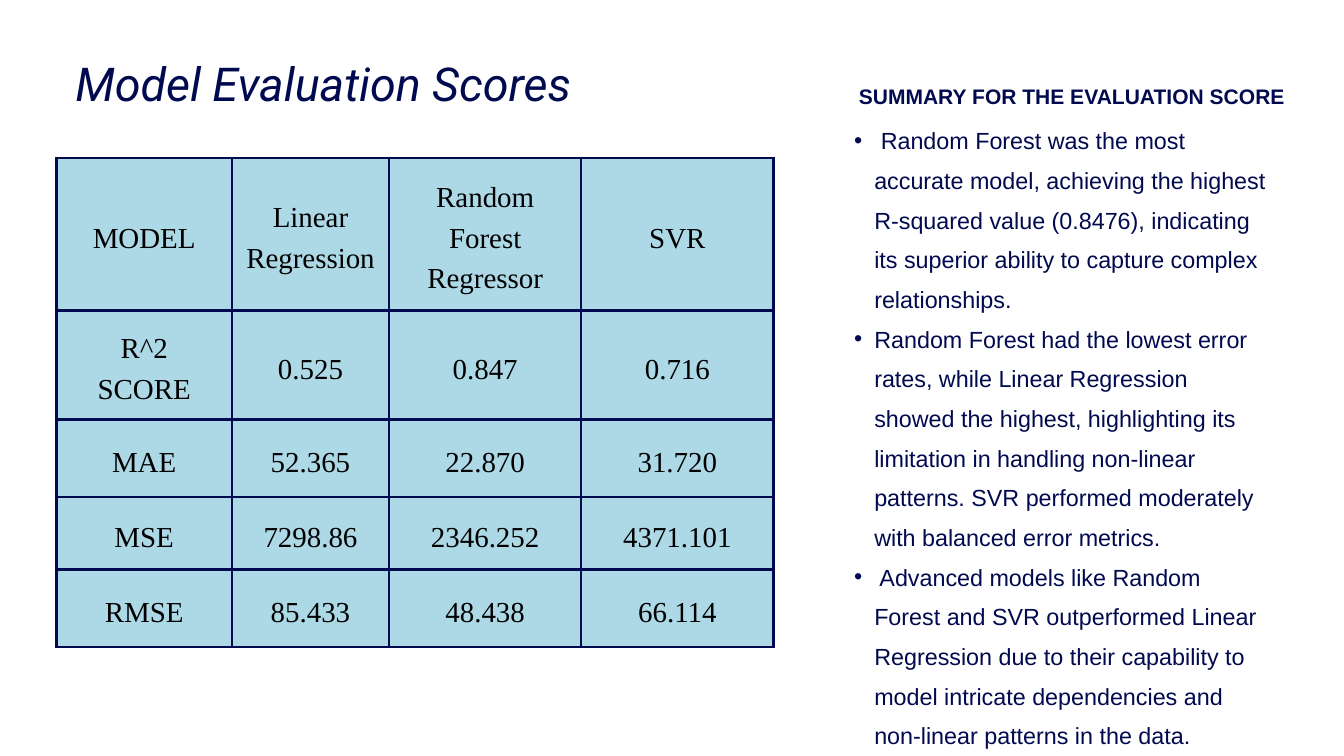
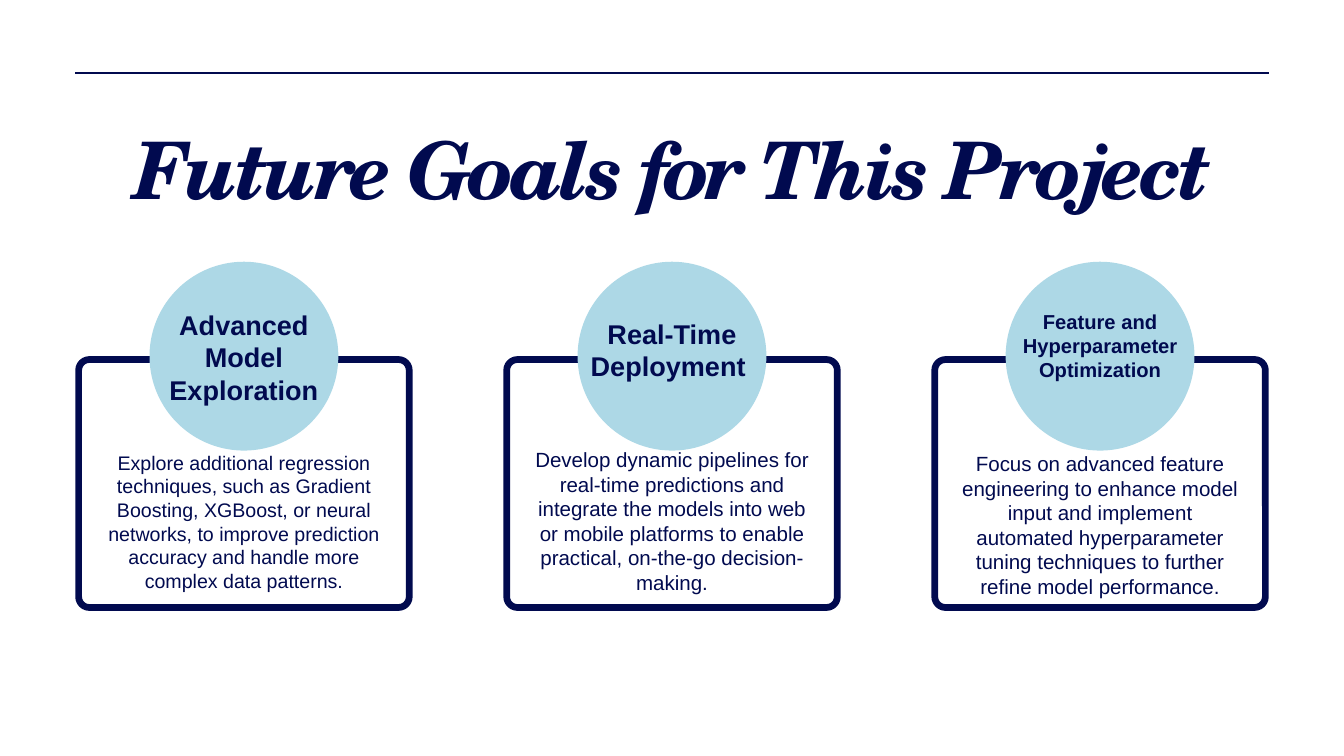
from dataclasses import dataclass

from lxml import etree
from pptx import Presentation
from pptx.dml.color import RGBColor
from pptx.enum.shapes import MSO_CONNECTOR, MSO_SHAPE
from pptx.enum.text import MSO_ANCHOR, MSO_AUTO_SIZE, PP_ALIGN
from pptx.oxml.ns import qn
from pptx.util import Inches, Pt

LEFT, CENTER = PP_ALIGN.LEFT, PP_ALIGN.CENTER
TOP, MIDDLE = MSO_ANCHOR.TOP, MSO_ANCHOR.MIDDLE
NO_AUTOFIT = MSO_AUTO_SIZE.NONE
STRAIGHT = MSO_CONNECTOR.STRAIGHT
ROUNDED, OVAL = MSO_SHAPE.ROUNDED_RECTANGLE, MSO_SHAPE.OVAL
TITLE_AND_CONTENT, TITLE_ONLY = 1, 5


@dataclass(frozen=True)
class TextStyle:
    font: str
    size: float
    line: float
    color: RGBColor
    align: PP_ALIGN = LEFT
    bold: bool = False
    italic: bool = False
    tracking: float = 0


@dataclass(frozen=True)
class Theme:
    navy: RGBColor = RGBColor(0x01, 0x0A, 0x4F)
    sky: RGBColor = RGBColor(0xAD, 0xD8, 0xE6)
    white: RGBColor = RGBColor(0xFF, 0xFF, 0xFF)
    black: RGBColor = RGBColor(0, 0, 0)
    border: float = 3
    frame: float = 7.2
    rule: float = 2.25

    scores_title = TextStyle("Roboto", 50, 70, navy, italic=True)
    goals_title = TextStyle("TeX Gyre Schola", 85, 102, navy, CENTER, True, True, -4.2)
    summary_heading = TextStyle("Arial", 22.5, 31.5, navy, bold=True)
    summary = TextStyle("Arial", 25, 42.5, navy)
    score = TextStyle("Times New Roman", 31, 43.4, black, CENTER)
    goal_large = TextStyle("Arial", 29, 34.8, navy, CENTER, True)
    goal_small = TextStyle("Arial", 21.6, 25.9, navy, CENTER, True)
    detail_large = TextStyle("Arial", 22, 26.4, navy, CENTER)
    detail_small = TextStyle("Arial", 21, 25.2, navy, CENTER)


THEME = Theme()


@dataclass(frozen=True)
class Box:
    left: float
    top: float
    width: float
    height: float

    def emu(self) -> tuple:
        return tuple(Inches(v) for v in (self.left, self.top, self.width, self.height))


@dataclass(frozen=True)
class Goal:
    name: str
    name_style: TextStyle
    name_top: float
    name_height: float
    detail: str
    detail_style: TextStyle
    detail_top: float
    detail_height: float


# Content
SCORES = [
    ("MODEL", "Linear Regression", "Random Forest Regressor", "SVR"),
    ("R^2 SCORE", "0.525", "0.847", "0.716"),
    ("MAE", "52.365", "22.870", "31.720"),
    ("MSE", "7298.86", "2346.252", "4371.101"),
    ("RMSE", "85.433", "48.438", "66.114"),
]
SCORE_COLUMNS = (2.61, 2.34, 2.86, 2.86)
SCORE_ROWS = (2.27, 1.2, 1.15, 1.08, 1.15)

SUMMARY = [
    " Random Forest was the most accurate model, achieving the highest R-squared value "
    "(0.8476), indicating its superior ability to capture complex relationships.",
    "Random Forest had the lowest error rates, while Linear Regression showed the highest, "
    "highlighting its limitation in handling non-linear patterns. SVR performed moderately "
    "with balanced error metrics.",
    " Advanced models like Random Forest and SVR outperformed Linear Regression due to their "
    "capability to model intricate dependencies and non-linear patterns in the data.",
]

GOALS = [
    Goal("Advanced Model Exploration", THEME.goal_large, 4.59, 1.44,
         "Explore additional regression techniques, such as Gradient Boosting, XGBoost, or "
         "neural networks, to improve prediction accuracy and handle more complex data "
         "patterns.", THEME.detail_small, 6.71, 2.07),
    Goal("Real-Time Deployment ", THEME.goal_large, 4.72, 0.96,
         "Develop dynamic pipelines for real-time predictions and integrate the models into "
         "web or mobile platforms to enable practical, on-the-go decision-making.",
         THEME.detail_large, 6.65, 2.2),
    Goal("Feature and Hyperparameter Optimization", THEME.goal_small, 4.6, 1.07,
         "Focus on advanced feature engineering to enhance model input and implement "
         "automated hyperparameter tuning techniques to further refine model performance.",
         THEME.detail_large, 6.71, 2.2),
]

# Layout of the goal cards
MARGIN, SLIDE_WIDTH, SLIDE_HEIGHT = 1.12, 20, 11.25
CARD_WIDTH, CARD_HEIGHT, CARD_TOP = 5.02, 3.79, 5.3
CARD_PITCH = (SLIDE_WIDTH - 2 * MARGIN - CARD_WIDTH) / (len(GOALS) - 1)
CIRCLE, NAME_WIDTH, DETAIL_WIDTH = 2.81, 2.52, 4.24
FRAME_INSET, CORNER_RADIUS = 0.05, 0.16


def set_all(target, values: dict) -> None:
    for attribute, value in values.items():
        setattr(target, attribute, value)


def write(text_frame, paragraphs: list, style: TextStyle) -> None:
    """Fill a text frame with one run per paragraph."""
    text_frame.text = "\n".join(paragraphs)
    for paragraph in text_frame.paragraphs:
        set_all(paragraph, {"alignment": style.align, "line_spacing": Pt(style.line),
                            "space_before": Pt(0), "space_after": Pt(0)})
        for run in paragraph.runs:
            set_all(run.font, {"name": style.font, "size": Pt(style.size),
                               "bold": style.bold, "italic": style.italic})
            run.font.color.rgb = style.color
            if style.tracking:
                run._r.get_or_add_rPr().set("spc", str(round(style.tracking * 100)))


def place_text(holder, box: Box, paragraphs: list, style: TextStyle) -> None:
    """Move a placeholder or text box and write into it without insets."""
    set_all(holder, dict(zip(("left", "top", "width", "height"), box.emu())))
    set_all(holder.text_frame, {
        "word_wrap": True, "auto_size": NO_AUTOFIT, "vertical_anchor": TOP,
        "margin_left": 0, "margin_top": 0, "margin_right": 0, "margin_bottom": 0})
    write(holder.text_frame, paragraphs, style)


def add_text(slide, box: Box, text: str, style: TextStyle) -> None:
    place_text(slide.shapes.add_textbox(*box.emu()), box, [text], style)


def add_bullets(text_frame, indent: float, hanging: float) -> None:
    for paragraph in text_frame.paragraphs:
        properties = paragraph._p.get_or_add_pPr()
        properties.set("marL", str(Inches(indent)))
        properties.set("indent", str(-Inches(hanging)))
        etree.SubElement(properties, qn("a:buChar")).set("char", "•")


def add_borders(cell, color: RGBColor, width: float) -> None:
    properties = cell._tc.get_or_add_tcPr()
    for position, side in enumerate(("lnL", "lnR", "lnT", "lnB")):
        line = etree.Element(qn(f"a:{side}"), w=str(Pt(width)))
        fill = etree.SubElement(line, qn("a:solidFill"))
        etree.SubElement(fill, qn("a:srgbClr")).set("val", str(color))
        properties.insert(position, line)


def add_score_table(slide) -> None:
    box = Box(0.84, 2.35, sum(SCORE_COLUMNS), sum(SCORE_ROWS))
    table = slide.shapes.add_table(len(SCORES), len(SCORE_COLUMNS), *box.emu()).table
    set_all(table, {"first_row": False, "horz_banding": False})
    for column, width in zip(table.columns, SCORE_COLUMNS):
        column.width = Inches(width)
    for row, height, scores in zip(table.rows, SCORE_ROWS, SCORES):
        row.height = Inches(height)
        for cell, score in zip(row.cells, scores):
            inset = Inches(0.21)
            set_all(cell, {"vertical_anchor": MIDDLE,
                           "margin_left": inset, "margin_right": inset,
                           "margin_top": inset, "margin_bottom": inset})
            cell.fill.solid()
            cell.fill.fore_color.rgb = THEME.sky
            write(cell.text_frame, [score], THEME.score)
            add_borders(cell, THEME.navy, THEME.border)


def add_rule(slide, top: float) -> None:
    rule = slide.shapes.add_connector(STRAIGHT, Inches(MARGIN), Inches(top),
                                      Inches(SLIDE_WIDTH - MARGIN), Inches(top))
    rule.line.color.rgb = THEME.navy
    rule.line.width = Pt(THEME.rule)
    etree.SubElement(rule._element.spPr, qn("a:effectLst"))


def add_goal_card(slide, goal: Goal, left: float) -> None:
    center = left + CARD_WIDTH / 2

    # Frame, its outline lying inside the card
    frame_height = CARD_HEIGHT - 2 * FRAME_INSET
    frame = slide.shapes.add_shape(ROUNDED, *Box(
        left + FRAME_INSET, CARD_TOP + FRAME_INSET,
        CARD_WIDTH - 2 * FRAME_INSET, frame_height).emu())
    frame.adjustments[0] = CORNER_RADIUS / frame_height
    frame.shadow.inherit = False
    frame.fill.background()
    frame.line.color.rgb = THEME.navy
    frame.line.width = Pt(THEME.frame)

    # Circle centred on the top edge of the card
    circle = slide.shapes.add_shape(OVAL, *Box(
        center - CIRCLE / 2, CARD_TOP - CIRCLE / 2, CIRCLE, CIRCLE).emu())
    circle.shadow.inherit = False
    circle.fill.solid()
    circle.fill.fore_color.rgb = THEME.sky
    circle.line.fill.background()

    add_text(slide, Box(center - NAME_WIDTH / 2, goal.name_top, NAME_WIDTH,
                        goal.name_height), goal.name, goal.name_style)
    add_text(slide, Box(center - DETAIL_WIDTH / 2, goal.detail_top, DETAIL_WIDTH,
                        goal.detail_height), goal.detail, goal.detail_style)


def new_slide(deck, layout: int, title: str, box: Box, style: TextStyle):
    slide = deck.slides.add_slide(deck.slide_layouts[layout])
    slide.background.fill.solid()
    slide.background.fill.fore_color.rgb = THEME.white
    place_text(slide.shapes.title, box, [title], style)
    return slide


def build_scores_slide(deck) -> None:
    slide = new_slide(deck, TITLE_AND_CONTENT, "Model Evaluation Scores",
                      Box(MARGIN, 0.67, 11.3, 0.94), THEME.scores_title)
    add_score_table(slide)
    summary = slide.placeholders[1]
    place_text(summary, Box(12.42, 1.71, 6.46, 9.5), SUMMARY, THEME.summary)
    add_bullets(summary.text_frame, 0.59, 0.3)
    add_text(slide, Box(12.78, 1.18, 6.95, 0.43),
             "SUMMARY FOR THE EVALUATION SCORE", THEME.summary_heading)


def build_goals_slide(deck) -> None:
    slide = new_slide(deck, TITLE_ONLY, "Future Goals for This Project",
                      Box(1.82, 1.79, 16.37, 1.41), THEME.goals_title)
    add_rule(slide, 1.08)
    for position, goal in enumerate(GOALS):
        add_goal_card(slide, goal, MARGIN + position * CARD_PITCH)


def main() -> None:
    deck = Presentation()
    deck.slide_width, deck.slide_height = Inches(SLIDE_WIDTH), Inches(SLIDE_HEIGHT)
    build_scores_slide(deck)
    build_goals_slide(deck)
    deck.save("out.pptx")


if __name__ == "__main__":
    main()
